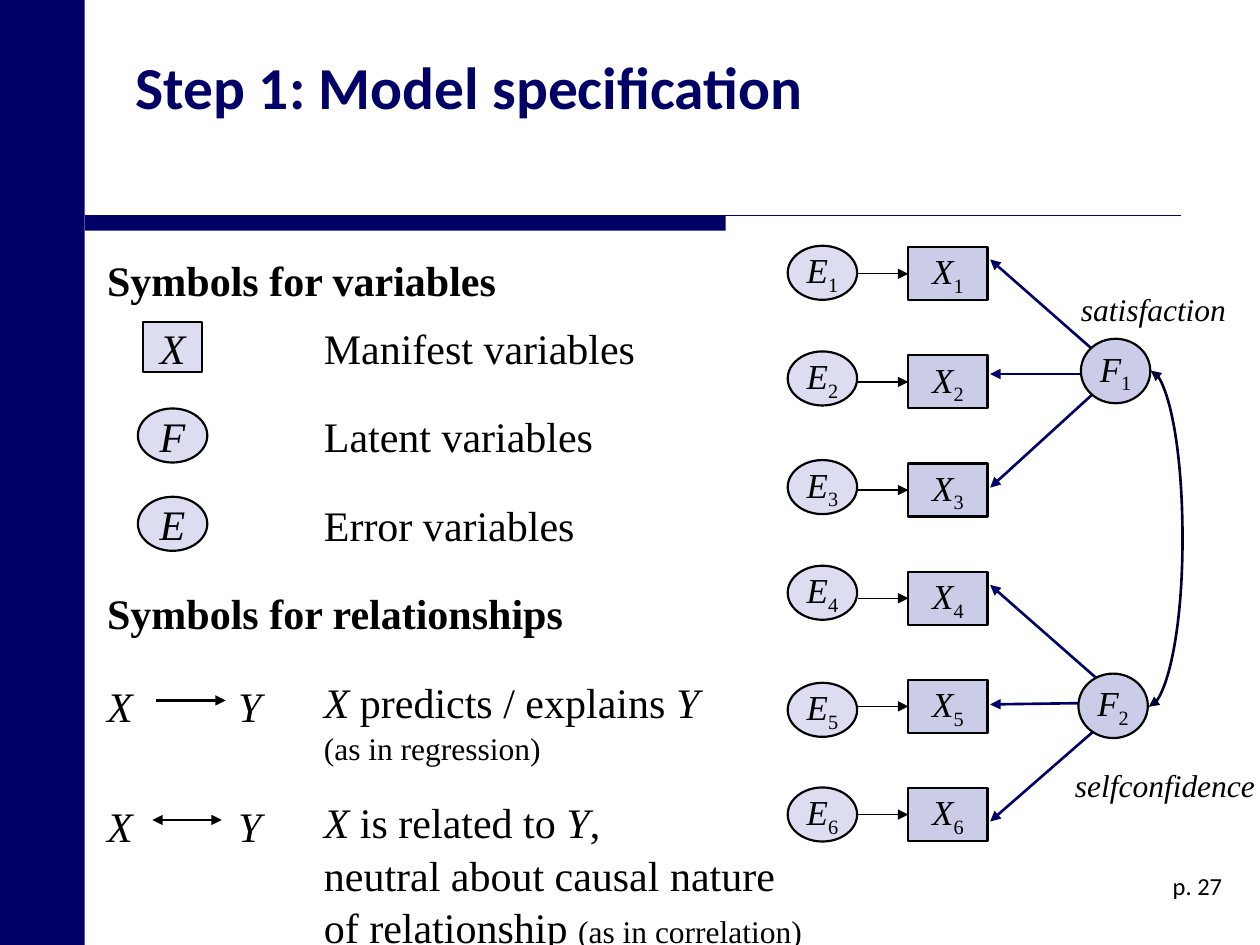
"""Build the model specification slide with its symbol legend and path diagram."""
from dataclasses import dataclass

from lxml import etree
from pptx import Presentation
from pptx.dml.color import RGBColor as RGB
from pptx.enum.shapes import MSO_CONNECTOR as CONN, MSO_SHAPE as SHAPE
from pptx.enum.text import MSO_ANCHOR as ANCHOR, PP_ALIGN as ALIGN
from pptx.oxml.ns import qn
from pptx.util import Cm, Pt


@dataclass(frozen=True)
class Theme:
    navy: str = "000066"
    deep: str = "000033"
    ink: str = "000000"
    pale: str = "DCDDF0"
    mid: str = "CACCE8"
    serif: str = "Times New Roman"
    sans: str = "Calibri"
    title: int = 34
    body: int = 24
    node: int = 20
    small: int = 18
    page: int = 14


class Deck:
    def __init__(self, theme):
        self.t = theme
        self.prs = Presentation()
        self.prs.slide_width, self.prs.slide_height = Cm(25.4), Cm(19.05)
        self.s = self.prs.slides.add_slide(self.prs.slide_layouts[6])

    def fill_text(self, sp, paragraphs, size, align=ALIGN.LEFT, font=None, color=None):
        tf = sp.text_frame
        tf.margin_left = tf.margin_right = tf.margin_top = tf.margin_bottom = 0
        for i, runs in enumerate(paragraphs):
            p = tf.paragraphs[0] if i == 0 else tf.add_paragraph()
            p.alignment = align
            p.space_before = Pt(1.2 if i else 0)
            for text, style, *own in runs:
                r = p.add_run()
                r.text = text
                f = r.font
                f.name, f.size = font or self.t.serif, Pt(own[0] if own else size)
                f.color.rgb = RGB.from_string(color or self.t.ink)
                f.bold, f.italic = "b" in style, "i" in style
                if "s" in style:
                    r._r.get_or_add_rPr().set("baseline", "-25000")

    def text(self, x, y, w, h, paragraphs, size, **look):
        sp = self.s.shapes.add_textbox(Cm(x), Cm(y), Cm(w), Cm(h))
        sp.text_frame.word_wrap = True
        self.fill_text(sp, paragraphs, size, **look)

    def bar(self, x, y, w, h):
        sp = self.s.shapes.add_shape(SHAPE.RECTANGLE, Cm(x), Cm(y), Cm(w), Cm(h))
        sp.shadow.inherit = False
        sp.fill.solid()
        sp.fill.fore_color.rgb = RGB.from_string(self.t.navy)
        sp.line.fill.background()

    def node(self, kind, cx, cy, w, h, fill, runs, size):
        sp = self.s.shapes.add_shape(kind, Cm(cx - w / 2), Cm(cy - h / 2), Cm(w), Cm(h))
        sp.shadow.inherit = False
        sp.fill.solid()
        sp.fill.fore_color.rgb = RGB.from_string(fill)
        sp.line.color.rgb = RGB.from_string(self.t.ink)
        sp.line.width = Pt(1.25)
        sp.text_frame.word_wrap = False
        sp.text_frame.vertical_anchor = ANCHOR.MIDDLE
        self.fill_text(sp, [runs], size, align=ALIGN.CENTER)
        return sp

    def line(self, x1, y1, x2, y2, color, width, ends=("tail",), kind=CONN.STRAIGHT):
        c = self.s.shapes.add_connector(kind, Cm(x1), Cm(y1), Cm(x2), Cm(y2))
        c.line.color.rgb = RGB.from_string(color)
        c.line.width = Pt(width)
        ln = c.line._get_or_add_ln()
        for end in ends:
            etree.SubElement(ln, qn(f"a:{end}End"), type="triangle")
        etree.SubElement(c._element.spPr, qn("a:effectLst"))
        return c

    def curve(self, x1, y1, x2, y2, bend, color, width):
        c = self.line(x1, y1, x2, y2, color, width, ("head", "tail"), CONN.CURVE)
        av = c._element.spPr.find(qn("a:prstGeom")).get_or_add_avLst()
        adj = round(bend / (x2 - x1) * 100000)
        etree.SubElement(av, qn("a:gd"), name="adj1", fmla=f"val {adj}")


def indexed(letter, i):
    return [(letter, "i"), (str(i), "s")]


def frame(d):
    t = d.t
    d.bar(0, 0, 1.71, 19.05)
    d.bar(1.71, 4.34, 12.92, 0.31)
    d.line(1.71, 4.34, 23.8, 4.34, t.navy, 0.75, ())
    d.text(2.74, 1, 19, 1.5, [[("Step 1: Model specification", "b")]], t.title,
           font=t.sans, color=t.navy)
    d.text(19.6, 17.56, 5.04, 0.6, [[("p. 27", "")]], t.page,
           font=t.sans, align=ALIGN.RIGHT)


def legend(d):
    t = d.t
    for y, words in ((5.13, "Symbols for variables"), (11.85, "Symbols for relationships")):
        d.text(2.16, y, 12, 1, [[(words, "b")]], t.body)
    variables = (
        ("X", "Manifest variables", SHAPE.RECTANGLE, 1.2, 1),
        ("F", "Latent variables", SHAPE.OVAL, 1.4, 1.09),
        ("E", "Error variables", SHAPE.OVAL, 1.4, 1.09),
    )
    for i, (letter, words, kind, w, h) in enumerate(variables):
        y = 7 + 1.78 * i
        d.node(kind, 3.48, y, w, h, t.pale, [(letter, "i")], t.body)
        d.text(6.53, y - 0.5, 9, 1, [[(words, "")]], t.body)
    predicts = [
        [("X", "i"), (" predicts / explains ", ""), ("Y", "i")],
        [("(as in regression)", "", t.small)],
    ]
    related = [
        [("X", "i"), (" is related to ", ""), ("Y", "i"), (",", "")],
        [("neutral about causal nature", "")],
        [("of relationship ", ""), ("(as in correlation)", "", t.small)],
    ]
    relations = (
        (13.64, predicts, 3.15, 14.12, ("tail",)),
        (16.06, related, 3.07, 16.53, ("head", "tail")),
    )
    for y, words, x, arrow_y, ends in relations:
        for letter, left in (("X", 2.16), ("Y", 4.8)):
            d.text(left, y + 0.08, 0.8, 1, [[(letter, "i")]], t.body)
        d.line(x, arrow_y, x + 1.4, arrow_y, t.ink, 1.5, ends)
        d.text(6.53, y, 10.2, len(words), words, t.body)


def diagram(d):
    t = d.t
    error_ys = (5.5, 7.63, 9.82, 11.95, 14.31, 16.42)
    for i, error_y in enumerate(error_ys):
        y = 5.52 + 2.18 * i
        d.node(SHAPE.OVAL, 16.58, error_y, 1.4, 1.09, t.pale, indexed("E", i + 1), t.node)
        x_box = d.node(SHAPE.RECTANGLE, 19.11, y, 1.6, 1.07, t.mid,
                       indexed("X", i + 1), t.node)
        d.line(17.3, y, 18.31, y, t.ink, 0.75).end_connect(x_box, 1)
    loadings = (
        (22.1, 7.11, 5.23), (22.43, 7.54, 7.54), (22.33, 7.67, 9.83),
        (22.33, 13.87, 11.79), (22.12, 14.17, 14.2), (22.38, 14.45, 16.56),
    )
    for x, y, end_y in loadings:
        d.line(x, y, 19.96, end_y, t.navy, 1.5)
    factors = (
        (22.49, 7.48, "satisfaction", 21.79, 5.84),
        (22.44, 14.23, "selfconfidence", 21.67, 15.44),
    )
    for i, (x, y, words, left, top) in enumerate(factors, 1):
        d.node(SHAPE.OVAL, x, y, 1.4, 1.3, t.mid, indexed("F", i), t.node)
        d.text(left, top, 3.73, 0.75, [[(words, "i")]], t.small)
    d.curve(23.2, 7.47, 23.16, 14.25, 0.64, t.deep, 1.5)


def main():
    d = Deck(Theme())
    frame(d)
    legend(d)
    diagram(d)
    d.prs.save("out.pptx")


if __name__ == "__main__":
    main()
